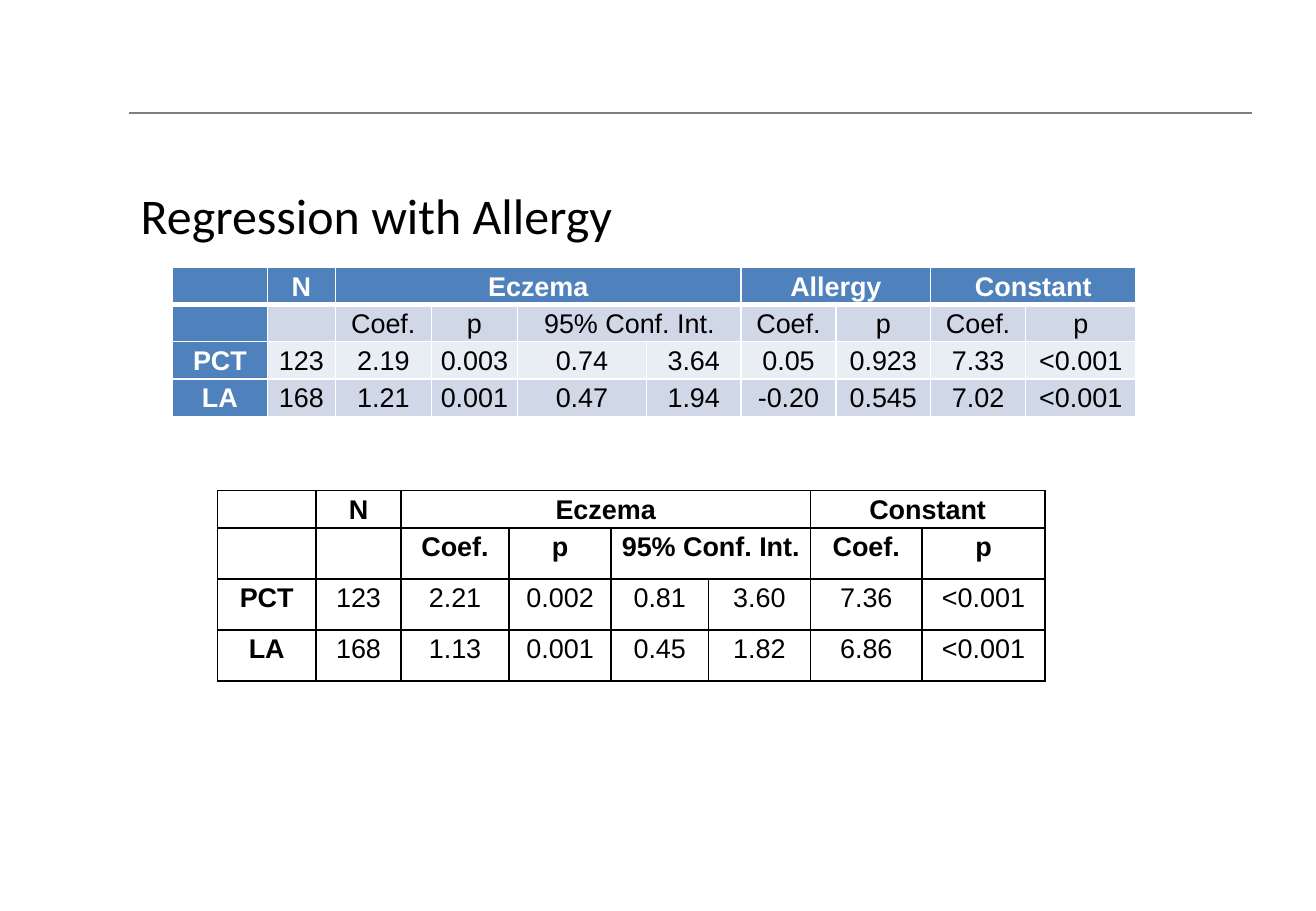
from lxml import etree
from pptx import Presentation
from pptx.dml import color
from pptx.enum import shapes, text
from pptx.oxml import ns
from pptx.util import Inches, Pt

PLAIN_STYLE = "{2D5ABB26-0587-4C30-8999-92F81FD0307C}"
BLACK, WHITE, BLUE = "000000", "FFFFFF", "4F81BD"
BANDS = ("E9EDF4", "D0D8E8")

# A None cell continues the cell on its left
WITH_ALLERGY = [
    ["", "N", "Eczema", None, None, None, "Allergy", None, "Constant", None],
    ["", "", "Coef.", "p", "95% Conf. Int.", None, "Coef.", "p", "Coef.", "p"],
    ["PCT", "123", "2.19", "0.003", "0.74", "3.64", "0.05", "0.923", "7.33", "<0.001"],
    ["LA", "168", "1.21", "0.001", "0.47", "1.94", "-0.20", "0.545", "7.02", "<0.001"],
]
ECZEMA_ONLY = [
    ["", "N", "Eczema", None, None, None, "Constant", None],
    ["", "", "Coef.", "p", "95% Conf. Int.", None, "Coef.", "p"],
    ["PCT", "123", "2.21", "0.002", "0.81", "3.60", "7.36", "<0.001"],
    ["LA", "168", "1.13", "0.001", "0.45", "1.82", "6.86", "<0.001"],
]


def rgb(value):
    return color.RGBColor.from_string(value)


def set_border(cell, side, hex_color, width):
    ln = etree.SubElement(cell._tc.get_or_add_tcPr(), ns.qn("a:ln" + side), w=str(Pt(width)))
    fill = etree.SubElement(ln, ns.qn("a:solidFill"))
    etree.SubElement(fill, ns.qn("a:srgbClr"), val=hex_color)


def set_cell_text(cell, value, hex_color, bold):
    cell.margin_left = cell.margin_right = Inches(0.07)
    cell.margin_top = cell.margin_bottom = 0
    p = cell.text_frame.paragraphs[0]
    p.text = value
    p.alignment = text.PP_ALIGN.CENTER
    p.line_spacing = 1.15
    for r in p.runs:
        r.font.name, r.font.size, r.font.bold = "Arial", Pt(16), bold
        r.font.color.rgb = rgb(hex_color)
    # Empty cells keep the same line height
    etree.SubElement(p._p, ns.qn("a:endParaRPr"), sz="1600")


def banded_look(row, col):
    """Fill, text colour and bold of a cell in the blue table."""
    if row == 0 or col == 0:
        return BLUE, WHITE, True
    return BANDS[row % 2], BLACK, False


def grid_look(row, col):
    """Fill, text colour and bold of a cell in the ruled table."""
    return None, BLACK, row < 2 or col == 0


def add_regression_table(slide, left, top, widths, heights, rows, look, line, header_rule):
    frame = slide.shapes.add_table(len(rows), len(widths), Inches(left), Inches(top),
                                   Inches(sum(widths)), Inches(sum(heights)))
    table = frame.table
    table.first_row = table.horz_banding = False
    frame._element.find(".//" + ns.qn("a:tableStyleId")).text = PLAIN_STYLE
    for column, width in zip(table.columns, widths):
        column.width = Inches(width)
    for row, height in zip(table.rows, heights):
        row.height = Inches(height)

    for i, values in enumerate(rows):
        for j, value in enumerate(values):
            cell = table.cell(i, j)
            fill, font_color, bold = look(i, j)
            set_cell_text(cell, value or "", font_color, bold)
            for side in "LRTB":
                under_header = (i, side) in ((0, "B"), (1, "T"))
                set_border(cell, side, line, header_rule if under_header else 1)
            if fill:
                cell.fill.solid()
                cell.fill.fore_color.rgb = rgb(fill)
            else:
                cell.fill.background()

    # Merge each heading with the None cells after it
    for i, values in enumerate(rows):
        for j, value in enumerate(values):
            end = j
            while end + 1 < len(values) and values[end + 1] is None:
                end += 1
            if value is not None and end > j:
                table.cell(i, j).merge(table.cell(i, end))


def add_heading(slide, left, top, width, height):
    # Rule above the title
    rule = slide.shapes.add_connector(shapes.MSO_CONNECTOR.STRAIGHT, Inches(left), Inches(top),
                                      Inches(left + 9.24), Inches(top))
    rule.line.color.rgb = rgb("808080")
    rule.line.width = Pt(0.75)
    etree.SubElement(rule._element.spPr, ns.qn("a:effectLst"))

    # Title
    sp = slide.shapes.add_textbox(Inches(left), Inches(top + 0.54), Inches(width), Inches(height))
    tf = sp.text_frame
    tf.word_wrap = True
    tf.text = "Regression with Allergy"
    font = tf.paragraphs[0].runs[0].font
    font.name, font.size = "Calibri", Pt(29.6)
    font.color.rgb = rgb(BLACK)


def main():
    prs = Presentation()
    prs.slide_width, prs.slide_height = Inches(10.83), Inches(7.5)
    slide = prs.slides.add_slide(prs.slide_layouts[6])
    add_heading(slide, 1.06, 0.93, 8.84, 0.55)
    add_regression_table(slide, 1.42, 2.2,
                         [0.78, 0.56, 0.79, 0.71, 1.06, 0.78, 0.78, 0.78, 0.78, 0.91],
                         [0.28] * 4, WITH_ALLERGY, banded_look, WHITE, 3)
    add_regression_table(slide, 1.79, 4.04,
                         [0.81, 0.7, 0.89, 0.84, 0.8, 0.84, 0.92, 1.01],
                         [0.28] + [0.42] * 3, ECZEMA_ONLY, grid_look, BLACK, 1)
    prs.save("out.pptx")


if __name__ == "__main__":
    main()
